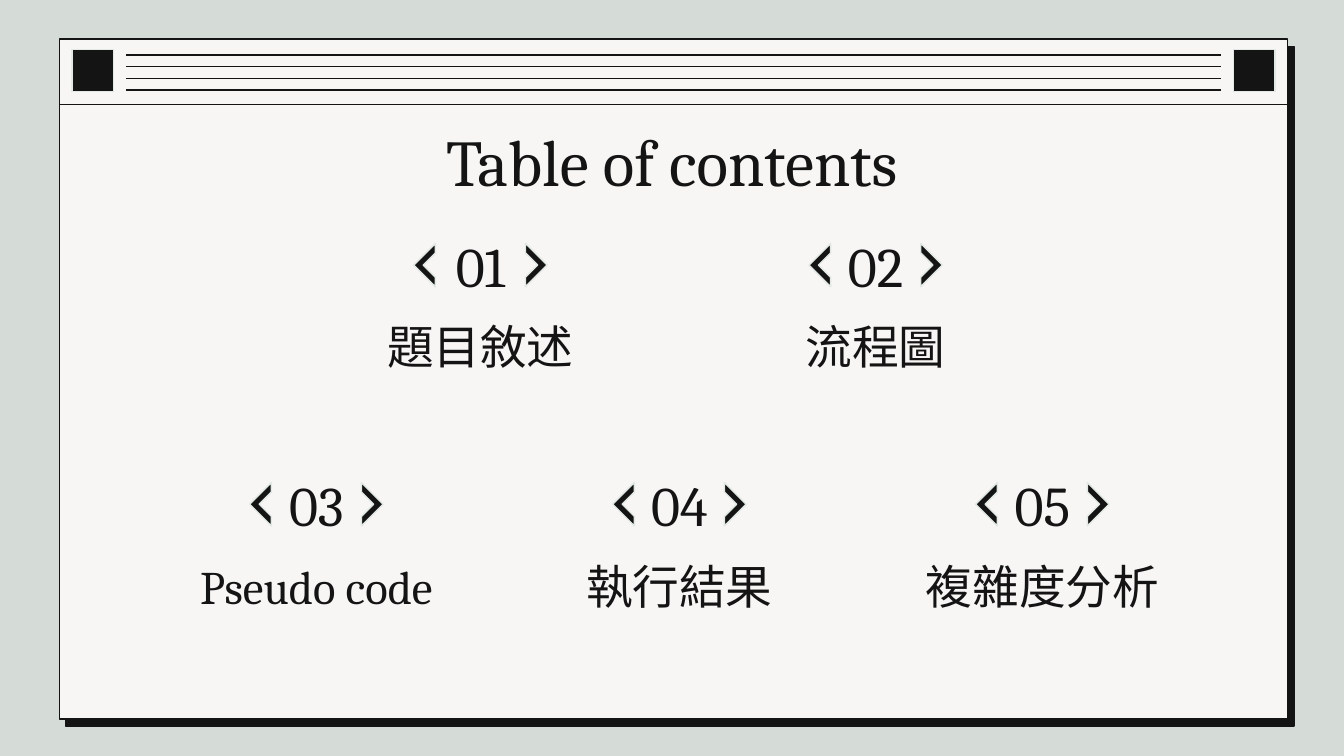
from lxml import etree
from pptx import Presentation
from pptx.dml.color import RGBColor
from pptx.enum.shapes import MSO_CONNECTOR, MSO_SHAPE
from pptx.enum.text import MSO_ANCHOR, PP_ALIGN
from pptx.oxml.ns import qn
from pptx.util import Cm, Pt

RECTANGLE = MSO_SHAPE.RECTANGLE
HALF_FRAME = MSO_SHAPE.HALF_FRAME
STRAIGHT = MSO_CONNECTOR.STRAIGHT
MIDDLE = MSO_ANCHOR.MIDDLE
CENTER = PP_ALIGN.CENTER

COLORS = {"background": "D5DBD7", "paper": "F8F6F4", "ink": "141414", "edge": "E2E9E4"}
FONT = "Cambria"
ENTRY_WIDTH = 5.56
ROWS = [
    (4.19, 6.3, 7.47, [("01", "題目敘述"), ("02", "流程圖")]),
    (8.71, 3.2, 6.86, [("03", "Pseudo code"), ("04", "執行結果"), ("05", "複雜度分析")]),
]


def color(name):
    """Return the named palette colour."""
    return RGBColor.from_string(COLORS[name])


def add_block(slide, kind, left, top, width, height, fill="ink", edge="edge"):
    """Add a filled and outlined shape without a shadow."""
    shape = slide.shapes.add_shape(kind, Cm(left), Cm(top), Cm(width), Cm(height))
    shape.fill.solid()
    shape.fill.fore_color.rgb = color(fill)
    shape.line.color.rgb = color(edge)
    shape.line.width = Pt(0.75)
    shape.shadow.inherit = False
    return shape


def add_rule(slide, left, right, y):
    """Add a thin horizontal line."""
    rule = slide.shapes.add_connector(STRAIGHT, Cm(left), Cm(y), Cm(right), Cm(y))
    rule.line.color.rgb = color("ink")
    rule.line.width = Pt(0.75)
    etree.SubElement(rule._element.spPr, qn("a:effectLst"))


def add_text(slide, text, size, left, top, width, height):
    """Add one centred line of text."""
    box = slide.shapes.add_textbox(Cm(left), Cm(top), Cm(width), Cm(height))
    frame = box.text_frame
    frame.word_wrap = True
    frame.vertical_anchor = MIDDLE
    frame.margin_left = frame.margin_right = Cm(0.25)
    frame.margin_top = frame.margin_bottom = Cm(0.25)
    paragraph = frame.paragraphs[0]
    paragraph.alignment = CENTER
    run = paragraph.add_run()
    run.text = text
    run.font.name = FONT
    run.font.size = Pt(size)
    run.font.color.rgb = color("ink")


def add_hard_shadow(shape):
    """Give a shape a solid shadow towards the lower right."""
    effects = shape._element.spPr.find(qn("a:effectLst"))
    shadow = etree.SubElement(effects, qn("a:outerShdw"), blurRad="0", dist=str(Pt(5.2)),
                              dir=str(49 * 60000), algn="bl", rotWithShape="0")
    etree.SubElement(shadow, qn("a:srgbClr"), val=COLORS["ink"])


def add_window(slide, left, top, width, height):
    """Draw the window with its striped title bar."""
    add_hard_shadow(add_block(slide, RECTANGLE, left, top, width, height, "paper", "ink"))
    right = left + width
    button, margin = 0.79, 0.24
    for button_left in (left + margin, right - margin - button):
        add_block(slide, RECTANGLE, button_left, top + 0.2, button, button)
    add_rule(slide, left, right, top + 1.24)
    for index in range(4):
        add_rule(slide, left + 1.27, right - 1.27, top + 0.3 + 0.22 * index)


def add_entry(slide, number, label, left, top, width):
    """Draw a bracketed number above its label."""
    center = left + width / 2
    add_text(slide, label, 25, left, top + 1.3, width, 2.11)
    add_text(slide, number, 30, center - 1.77, top, 3.54, 1.65)
    size = 0.58
    for offset, rotation in ((-0.85, 315), (0.85, 135)):
        bracket = add_block(slide, HALF_FRAME, center + offset - size / 2, top + 0.53, size, size)
        bracket.adjustments[0] = bracket.adjustments[1] = 0.22
        bracket.rotation = rotation


def add_contents(slide, rows):
    """Place every row of entries at equal steps."""
    for top, left, step, entries in rows:
        for index, (number, label) in enumerate(entries):
            add_entry(slide, number, label, left + step * index, top, ENTRY_WIDTH)


def main():
    """Build and save the presentation."""
    presentation = Presentation()
    presentation.slide_width = Cm(25.4)
    presentation.slide_height = Cm(14.29)
    slide = presentation.slides.add_slide(presentation.slide_layouts[6])
    slide.background.fill.solid()
    slide.background.fill.fore_color.rgb = color("background")
    add_window(slide, 1.12, 0.74, 23.22, 12.85)
    add_text(slide, "Table of contents", 35, 2, 2.24, 21.4, 1.6)
    add_contents(slide, ROWS)
    presentation.save("out.pptx")


if __name__ == "__main__":
    main()
